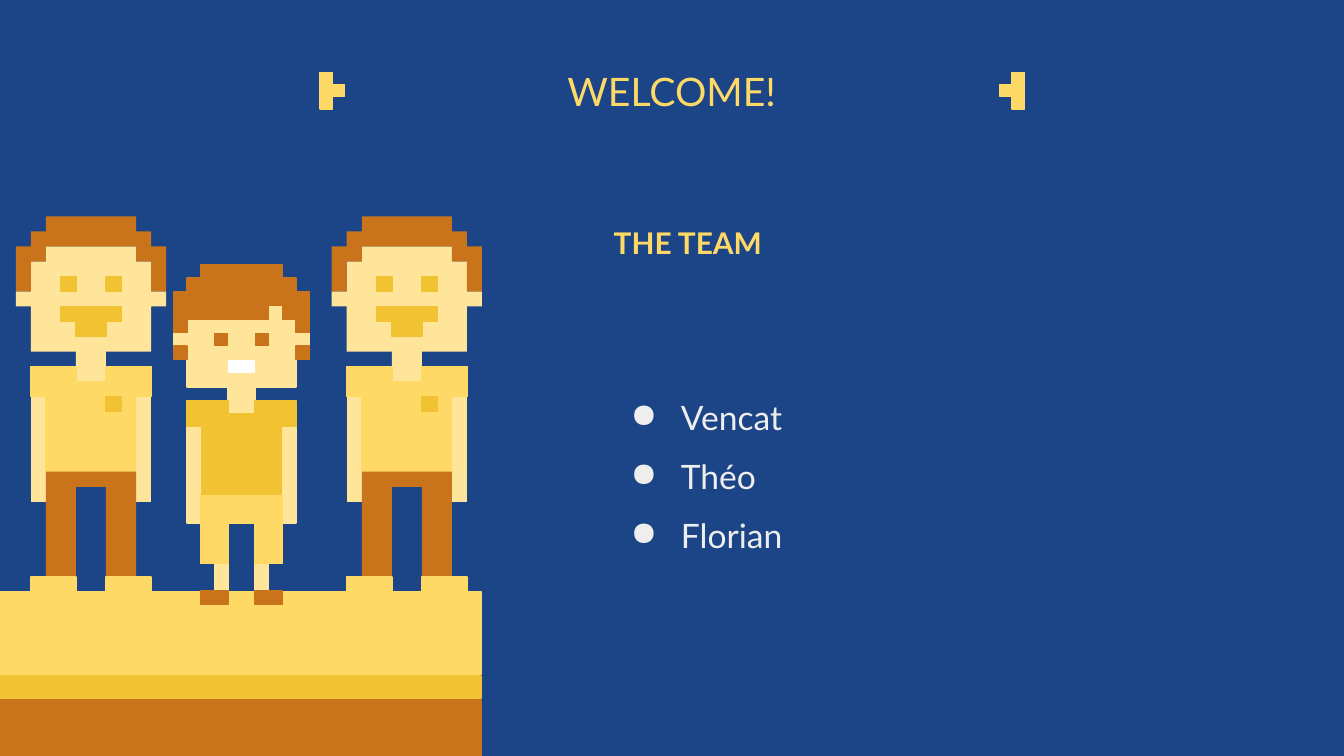
from lxml import etree
from pptx import Presentation
from pptx.dml.color import RGBColor
from pptx.enum.shapes import MSO_SHAPE
from pptx.enum.text import MSO_ANCHOR, PP_ALIGN
from pptx.oxml.ns import qn
from pptx.util import Cm, Pt

RECT = MSO_SHAPE.RECTANGLE
BOTTOM, MIDDLE = MSO_ANCHOR.BOTTOM, MSO_ANCHOR.MIDDLE
LEFT, CENTER = PP_ALIGN.LEFT, PP_ALIGN.CENTER

COLORS = {
    "blue": "1C4587", "yellow": "FFD966", "gold": "F1C232", "brown": "C9741B",
    "skin": "FFE599", "white": "FFFFFF", "text": "EEEEEE",
}
RGB = {name: RGBColor.from_string(value) for name, value in COLORS.items()}


def paint(sp, color, outlined=True):
    sp.shadow.inherit = False
    sp.fill.solid()
    sp.fill.fore_color.rgb = RGB[color]
    if outlined:
        sp.line.color.rgb = RGB[color]
        sp.line.width = Pt(0.75)
    else:
        sp.line.fill.background()


def add_pixel_art(left, top, unit, parts):
    """Group outlines whose points count grid cells of size unit."""
    grp = s.shapes.add_group_shape()
    for color, outlined, pts in parts:
        fb = grp.shapes.build_freeform(*pts[0], scale=unit)
        fb.add_line_segments(pts[1:], close=True)
        paint(fb.convert_to_shape(left, top), color, outlined)


prs = Presentation()
prs.slide_width, prs.slide_height = Cm(25.4), Cm(14.29)
s = prs.slides.add_slide(prs.slide_layouts[6])
s.background.fill.solid()
s.background.fill.fore_color.rgb = RGB["blue"]

# Ground
for color, top, height in [("yellow", 11.18, 1.57), ("gold", 12.78, 0.43), ("brown", 13.23, 1.06)]:
    sp = s.shapes.add_shape(RECT, 0, Cm(top), Cm(9.09), Cm(height))
    paint(sp, color)

# Pieces that both kinds of figure share, in grid cells
left_eye = [(3, 4), (3, 5), (4, 5), (4, 4)]
right_eye = [(6, 4), (6, 5), (7, 5), (7, 4)]
left_arm = [(1, 12), (1, 19), (2, 19), (2, 12)]
right_arm = [(8, 12), (8, 19), (9, 19), (9, 12)]
shirt = [(1, 10), (1, 12), (2, 12), (2, 17), (8, 17), (8, 12), (9, 12), (9, 10),
         (6, 10), (6, 11), (4, 11), (4, 10)]

child = [
    ("skin", True, [(6, 22), (6, 24), (7, 24), (7, 22)]),
    ("skin", True, [(3, 22), (3, 24), (4, 24), (4, 22)]),
    ("skin", True, [(7, 3), (7, 4), (1, 4), (1, 5), (0, 5), (0, 6), (1, 6), (1, 9), (4, 9),
                    (4, 11), (6, 11), (6, 9), (9, 9), (9, 6), (10, 6), (10, 5), (9, 5),
                    (9, 4), (8, 4), (8, 3)]),
    ("gold", True, shirt),
    ("brown", False, [(x, y + 1) for x, y in right_eye]),
    ("brown", False, [(x, y + 1) for x, y in left_eye]),
    ("white", False, [(4, 7), (4, 8), (6, 8), (6, 7)]),
    ("skin", True, right_arm),
    ("skin", True, left_arm),
    ("brown", True, [(6, 24), (6, 25), (8, 25), (8, 24)]),
    ("brown", True, [(2, 24), (2, 25), (4, 25), (4, 24)]),
    ("brown", True, [(2, 0), (2, 1), (1, 1), (1, 2), (0, 2), (0, 5), (1, 5), (1, 4), (7, 4),
                     (7, 3), (8, 3), (8, 4), (9, 4), (9, 5), (10, 5), (10, 2), (9, 2),
                     (9, 1), (8, 1), (8, 0)]),
    ("yellow", True, [(2, 17), (2, 22), (4, 22), (4, 19), (6, 19), (6, 22), (8, 22), (8, 17)]),
    ("brown", True, [(0, 6), (0, 7), (1, 7), (1, 6)]),
    ("brown", True, [(9, 6), (9, 7), (10, 7), (10, 6)]),
]
adult = [
    ("skin", False, [(2, 2), (2, 3), (1, 3), (1, 5), (0, 5), (0, 6), (1, 6), (1, 9), (4, 9),
                     (4, 11), (6, 11), (6, 9), (9, 9), (9, 6), (10, 6), (10, 5), (9, 5),
                     (9, 3), (8, 3), (8, 2)]),
    ("gold", True, left_eye),
    ("brown", False, [(2, 0), (2, 1), (1, 1), (1, 2), (0, 2), (0, 5), (1, 5), (1, 3), (2, 3),
                      (2, 2), (8, 2), (8, 3), (9, 3), (9, 5), (10, 5), (10, 2), (9, 2),
                      (9, 1), (8, 1), (8, 0)]),
    ("gold", True, right_eye),
    ("gold", True, [(3, 6), (3, 7), (4, 7), (4, 8), (6, 8), (6, 7), (7, 7), (7, 6)]),
    ("skin", False, left_arm),
    ("yellow", True, shirt),
    ("skin", False, right_arm),
    ("brown", False, [(2, 17), (2, 24), (4, 24), (4, 18), (6, 18), (6, 24), (8, 24), (8, 17)]),
    ("yellow", True, [(1, 24), (1, 25), (4, 25), (4, 24)]),
    ("yellow", True, [(6, 24), (6, 25), (9, 25), (9, 24)]),
    ("gold", True, [(6, 12), (6, 13), (7, 13), (7, 12)]),
]
add_pixel_art(Cm(3.28), Cm(5), Cm(2.57) / 10, child)

# Text boxes: lines, position, anchor, alignment, size, colour, bold
texts = [
    (["WELCOME!"], (0.86, 0.81, 23.67, 1.6), BOTTOM, CENTER, 21, "yellow", False),
    (["THE TEAM"], (11.35, 1.75, 8.61, 3.43), BOTTOM, LEFT, 16, "yellow", True),
    (["Vencat", "Théo", "Florian"], (11.35, 5.46, 11.91, 7.09), MIDDLE, LEFT, 18, "text", False),
]
for lines, box, anchor, align, size, color, bold in texts:
    tf = s.shapes.add_textbox(*map(Cm, box)).text_frame
    tf.word_wrap = True
    tf.vertical_anchor = anchor
    tf.margin_left = tf.margin_right = tf.margin_top = tf.margin_bottom = Cm(0.25)
    tf.text = "\n".join(lines)
    for p in tf.paragraphs:
        p.alignment = align
        font = p.runs[0].font
        font.name, font.size, font.bold = "Lato", Pt(size), bold
        font.color.rgb = RGB[color]
        if len(lines) > 1:
            p.space_before = Pt(10)
            pPr = p._p.get_or_add_pPr()
            pPr.set("marL", str(Cm(1.27)))
            pPr.set("indent", str(-Cm(0.95)))
            buClr = etree.SubElement(pPr, qn("a:buClr"))
            etree.SubElement(buClr, qn("a:srgbClr"), val=COLORS[color])
            etree.SubElement(pPr, qn("a:buChar"), char="●")

# Pixel arrows on both sides of the title
for left, cells in [(6.05, [(0, 0), (0, 1), (0, 2), (1, 1)]),
                    (18.9, [(1, 0), (1, 1), (1, 2), (0, 1)])]:
    arrow = [("yellow", True, [(x, y), (x + 1, y), (x + 1, y + 1), (x, y + 1)])
             for x, y in cells]
    add_pixel_art(Cm(left), Cm(1.37), Cm(0.23), arrow)

for left in (6.27, 0.3):
    add_pixel_art(Cm(left), Cm(4.09), Cm(2.84) / 10, adult)

prs.save("out.pptx")
